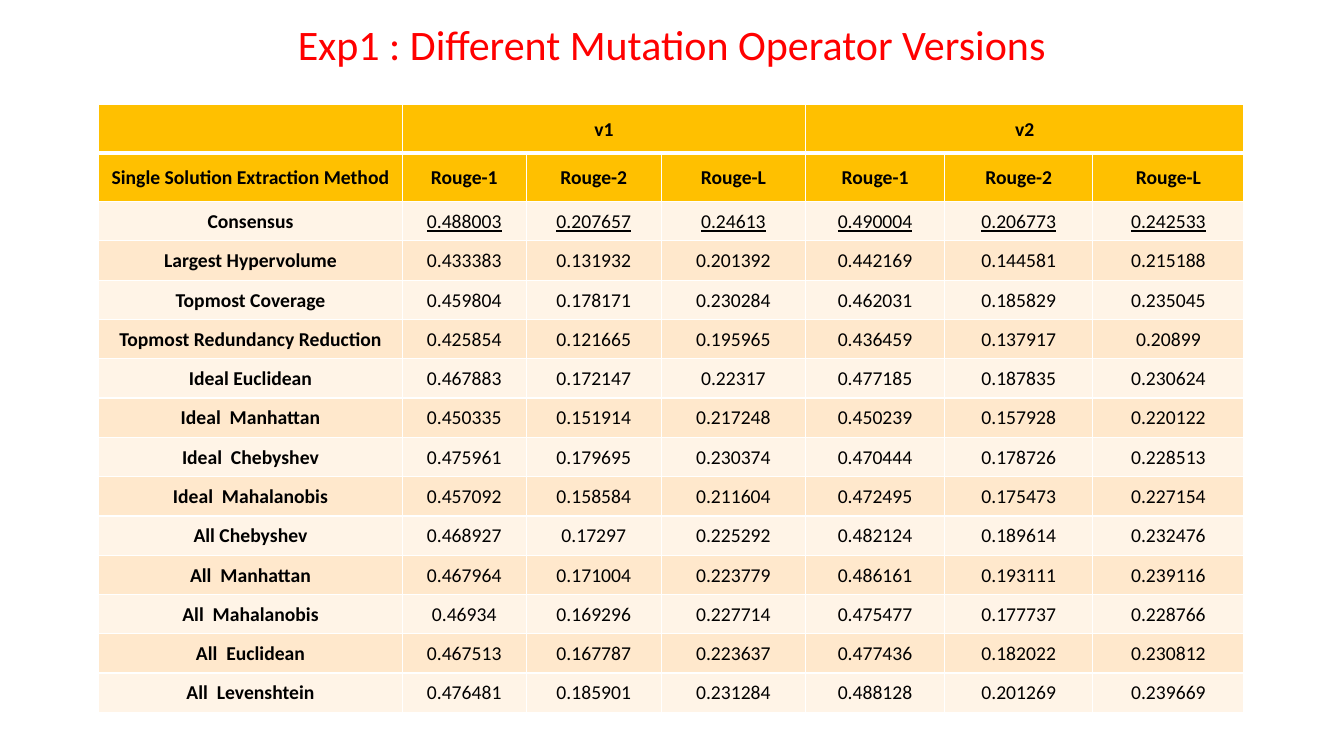
from pptx import Presentation
from pptx.dml.color import RGBColor
from pptx.enum.text import MSO_ANCHOR, PP_ALIGN
from pptx.oxml import parse_xml
from pptx.oxml.ns import nsdecls
from pptx.util import Inches, Pt

RED = RGBColor(0xFF, 0x00, 0x00)
BLACK = RGBColor(0x00, 0x00, 0x00)
GOLD = RGBColor(0xFF, 0xC0, 0x00)
CREAM = RGBColor(0xFF, 0xF4, 0xE7)
PEACH = RGBColor(0xFF, 0xE8, 0xCC)
FONT = "Calibri"

COLUMN_WIDTHS = [3.01, 1.23, 1.34, 1.43, 1.38, 1.47, 1.5]
HEADER_HEIGHT, BODY_HEIGHT = 0.48, 0.39
MEASURES = ["Rouge-1", "Rouge-2", "Rouge-L"]
ROWS = [
    ["", "v1", "", "", "v2", "", ""],
    ["Single Solution Extraction Method"] + MEASURES * 2,
    ["Consensus", "0.488003", "0.207657", "0.24613", "0.490004", "0.206773", "0.242533"],
    ["Largest Hypervolume", "0.433383", "0.131932", "0.201392", "0.442169", "0.144581", "0.215188"],
    ["Topmost Coverage", "0.459804", "0.178171", "0.230284", "0.462031", "0.185829", "0.235045"],
    ["Topmost Redundancy Reduction", "0.425854", "0.121665", "0.195965", "0.436459", "0.137917", "0.20899"],
    ["Ideal Euclidean", "0.467883", "0.172147", "0.22317", "0.477185", "0.187835", "0.230624"],
    ["Ideal  Manhattan", "0.450335", "0.151914", "0.217248", "0.450239", "0.157928", "0.220122"],
    ["Ideal  Chebyshev", "0.475961", "0.179695", "0.230374", "0.470444", "0.178726", "0.228513"],
    ["Ideal  Mahalanobis", "0.457092", "0.158584", "0.211604", "0.472495", "0.175473", "0.227154"],
    ["All Chebyshev", "0.468927", "0.17297", "0.225292", "0.482124", "0.189614", "0.232476"],
    ["All  Manhattan", "0.467964", "0.171004", "0.223779", "0.486161", "0.193111", "0.239116"],
    ["All  Mahalanobis", "0.46934", "0.169296", "0.227714", "0.475477", "0.177737", "0.228766"],
    ["All  Euclidean", "0.467513", "0.167787", "0.223637", "0.477436", "0.182022", "0.230812"],
    ["All  Levenshtein", "0.476481", "0.185901", "0.231284", "0.488128", "0.201269", "0.239669"],
]
HEADER_ROWS = 2
CONSENSUS_ROW = 2


def add_white_borders(cell, top, bottom):
    """Draw all four cell edges; top and bottom are widths in points."""
    properties = cell._tc.get_or_add_tcPr()
    for edge, width in (("L", 1), ("R", 1), ("T", top), ("B", bottom)):
        properties.append(parse_xml(
            f'<a:ln{edge} {nsdecls("a")} w="{Pt(width)}"><a:solidFill>'
            f'<a:srgbClr val="FFFFFF"/></a:solidFill></a:ln{edge}>'))


deck = Presentation()
deck.slide_width, deck.slide_height = Inches(13.33), Inches(7.5)
page = deck.slides.add_slide(deck.slide_layouts[6])

# Table
body_count = len(ROWS) - HEADER_ROWS
table_height = HEADER_ROWS * HEADER_HEIGHT + body_count * BODY_HEIGHT
table = page.shapes.add_table(
    len(ROWS), len(COLUMN_WIDTHS), Inches(0.98), Inches(1.04),
    Inches(sum(COLUMN_WIDTHS)), Inches(table_height)).table
for column, width in zip(table.columns, COLUMN_WIDTHS):
    column.width = Inches(width)
for first in (1, 4):
    table.cell(0, first).merge(table.cell(0, first + 2))

for row, texts in enumerate(ROWS):
    is_header = row < HEADER_ROWS
    table.rows[row].height = Inches(HEADER_HEIGHT if is_header else BODY_HEIGHT)
    fill = GOLD if is_header else (CREAM, PEACH)[row % 2]
    for column, text in enumerate(texts):
        cell = table.cell(row, column)
        add_white_borders(cell, 3 if row == 1 else 1, 3 if row == 0 else 1)
        cell.fill.solid()
        cell.fill.fore_color.rgb = fill
        cell.vertical_anchor = MSO_ANCHOR.MIDDLE
        cell.margin_left = cell.margin_right = cell.margin_top = Inches(0.01)
        cell.margin_bottom = 0
        if not text:
            continue
        cell.text = text
        para = cell.text_frame.paragraphs[0]
        para.alignment = PP_ALIGN.CENTER
        para.font.name, para.font.size = FONT, Pt(14)
        para.font.color.rgb = BLACK
        para.font.bold = is_header or column == 0
        para.font.underline = row == CONSENSUS_ROW and column > 0

# Title
title = page.shapes.add_textbox(0, Inches(0.21), Inches(13.33), Inches(0.97))
frame = title.text_frame
frame.word_wrap = True
frame.vertical_anchor = MSO_ANCHOR.TOP
frame.margin_top = Inches(0.03)
para = frame.paragraphs[0]
para.text = "Exp1 : Different Mutation Operator Versions"
para.alignment = PP_ALIGN.CENTER
para.line_spacing = 0.9
para.font.name, para.font.size = FONT, Pt(30)
para.font.color.rgb = RED

deck.save("out.pptx")
